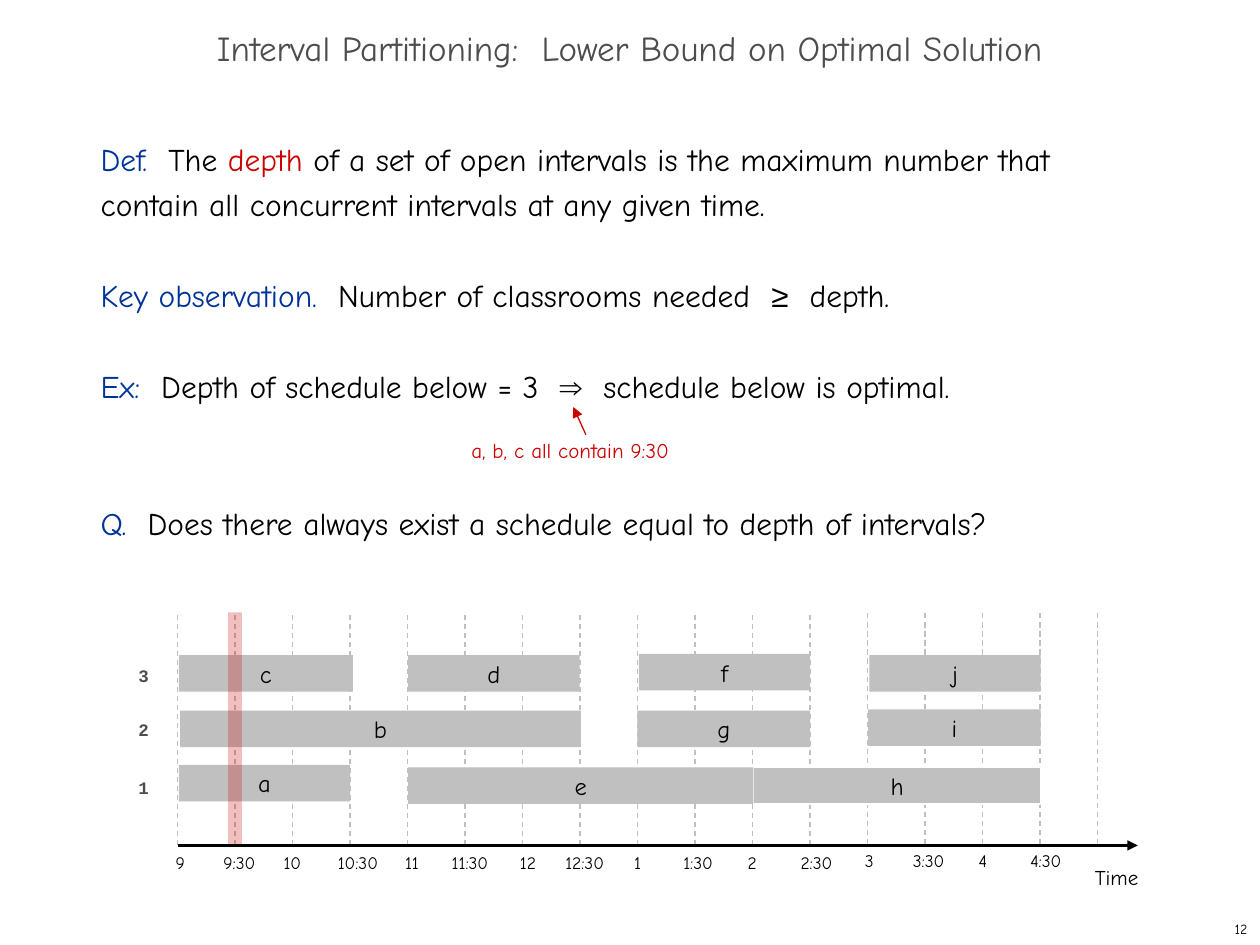
from lxml.etree import SubElement
from pptx import Presentation
from pptx.dml.color import RGBColor
from pptx.enum.dml import MSO_LINE
from pptx.enum.shapes import MSO_CONNECTOR, MSO_SHAPE
from pptx.enum.text import MSO_ANCHOR, PP_ALIGN
from pptx.oxml.ns import qn
from pptx.util import Inches, Pt

HUES = {"black": "000000", "gray": "4D4D4D", "bar": "C0C0C0",
        "blue": "003399", "red": "CC0000", "white": "FFFFFF"}
HUES = {name: RGBColor.from_string(code) for name, code in HUES.items()}
FONT = "Comic Neue"

deck = Presentation()
deck.slide_width, deck.slide_height = Inches(10), Inches(7.5)
slide = deck.slides.add_slide(deck.slide_layouts[6])
shapes = slide.shapes


def write(shape, text, size, hue="black", align=PP_ALIGN.LEFT, face=FONT):
    frame = shape.text_frame
    frame.word_wrap = True
    para = frame.paragraphs[0]
    para.text = text
    para.alignment = align
    para.font.size = Pt(size)
    para.font.name = face
    para.font.color.rgb = HUES[hue]
    return para


def rule(home, x1, y1, x2, y2, hue, width, arrow=False):
    line = home.add_connector(MSO_CONNECTOR.STRAIGHT, Inches(x1), Inches(y1),
                              Inches(x2), Inches(y2))
    line.line.color.rgb = HUES[hue]
    line.line.width = Pt(width)
    props = line._element.spPr
    if arrow:
        SubElement(props.find(qn("a:ln")), qn("a:tailEnd"), type="triangle")
    SubElement(props, qn("a:effectLst"))
    return line


number = shapes.add_textbox(Inches(7.92), Inches(7.25), Inches(2.08), Inches(0.25))
write(number, "12", 8, align=PP_ALIGN.RIGHT)
number.text_frame.vertical_anchor = MSO_ANCHOR.MIDDLE

START, STEP, BASE = 1.41, 0.4563, 6.71
grid = shapes.add_group_shape()
for slot in range(17):
    x = START + slot * STEP
    base = BASE if slot < 12 else BASE - 0.01
    tick = rule(grid.shapes, x, base, x, base - 1.84, "bar", 0.75)
    tick.line.dash_style = MSO_LINE.DASH

title = shapes.add_textbox(0, Inches(0.17), Inches(10), Inches(0.5))
head = write(title, "Interval Partitioning:  Lower Bound on Optimal Solution",
             20, "gray", PP_ALIGN.CENTER)
head.line_spacing = 0.7
title.text_frame.vertical_anchor = MSO_ANCHOR.MIDDLE

body = shapes.add_textbox(Inches(0.7), Inches(1), Inches(8.58), Inches(3.5))
frame = body.text_frame
frame.word_wrap = True
points = [
    (0, [("Def.  ", "blue"), ("The ", "black"), ("depth", "red"),
         (" of a set of open intervals is the maximum number that "
          "contain all concurrent intervals at any given time.", "black")]),
    (26, [("Key observation.  ", "blue"),
          ("Number of classrooms needed  ", "black"),
          ("≥", "black"), ("  depth.", "black")]),
    (26, [("Ex:  ", "blue"), ("Depth of schedule below = 3  ", "black"),
          ("⇒", "black"), ("  schedule below is optimal.", "black")]),
    (52, [("Q.  ", "blue"),
          ("Does there always exist a schedule equal to depth of intervals?",
           "black")]),
]
for spot, (gap, parts) in enumerate(points):
    para = frame.add_paragraph() if spot else frame.paragraphs[0]
    para.line_spacing = Pt(26)
    para.space_before = Pt(gap)
    para.font.size = Pt(18)
    for text, hue in parts:
        run = para.add_run()
        run.text = text
        run.font.size = Pt(18)
        run.font.name = "Arial" if text in "≥⇒" else FONT
        run.font.color.rgb = HUES[hue]

rule(shapes, START, BASE, 9.03, BASE, "black", 1.25, True)
time = shapes.add_textbox(Inches(8.59), Inches(6.81), Inches(0.72), Inches(0.3))
write(time, "Time", 12)

hours = [("9", 1.43), ("9:30", 1.9), ("10", 2.32), ("10:30", 2.84),
         ("11", 3.27), ("11:30", 3.73), ("12", 4.19), ("12:30", 4.64),
         ("1", 5.06), ("1:30", 5.54), ("2", 5.97), ("2:30", 6.48),
         ("3", 6.9), ("3:30", 7.37), ("4", 7.8), ("4:30", 8.3)]
for slot, (text, x) in enumerate(hours):
    top = BASE if slot < 12 else BASE - 0.01
    label = shapes.add_textbox(Inches(x - 0.3), Inches(top), Inches(0.6), Inches(0.27))
    write(label, text, 10, align=PP_ALIGN.CENTER)

bars = [("h", 5.98, 6.09, 2.28), ("c", 1.42, 5.2, 1.38), ("a", 1.42, 6.07, 1.36),
        ("e", 3.24, 6.09, 2.74), ("f", 5.07, 5.19, 1.36), ("g", 5.06, 5.64, 1.37),
        ("i", 6.89, 5.63, 1.37), ("j", 6.9, 5.2, 1.36), ("d", 3.24, 5.2, 1.36),
        ("b", 1.43, 5.64, 3.18)]
for name, x, y, width in bars:
    bar = shapes.add_shape(MSO_SHAPE.RECTANGLE, Inches(x), Inches(y),
                           Inches(width), Inches(0.29))
    bar.shadow.inherit = False
    bar.fill.solid()
    bar.fill.fore_color.rgb = HUES["bar"]
    if name == "h":
        bar.line.color.rgb = HUES["white"]
        bar.line.width = Pt(0.75)
    else:
        bar.line.fill.background()
    write(bar, name, 14, align=PP_ALIGN.CENTER)
    bar.text_frame.vertical_anchor = MSO_ANCHOR.MIDDLE

note = shapes.add_textbox(Inches(3.74), Inches(3.47), Inches(1.98), Inches(0.2))
write(note, "a, b, c all contain 9:30", 12, "red")
inner = note.text_frame
inner.margin_left = inner.margin_right = inner.margin_top = inner.margin_bottom = 0
rule(shapes, 4.65, 3.45, 4.55, 3.23, "red", 0.75, True)

band = shapes.add_shape(MSO_SHAPE.RECTANGLE, Inches(1.81), Inches(4.86),
                        Inches(0.11), Inches(1.84))
band.shadow.inherit = False
band.fill.solid()
band.fill.fore_color.rgb = HUES["red"]
band.line.fill.background()
shade = band._element.spPr.find(qn("a:solidFill"))[0]
SubElement(shade, qn("a:alpha"), val="25000")

for room, y in [("1", 6.12), ("2", 5.66), ("3", 5.23)]:
    label = shapes.add_textbox(Inches(1), Inches(y), Inches(0.29), Inches(0.27))
    write(label, room, 10, "gray", face="Courier New").font.bold = True

deck.save("out.pptx")
